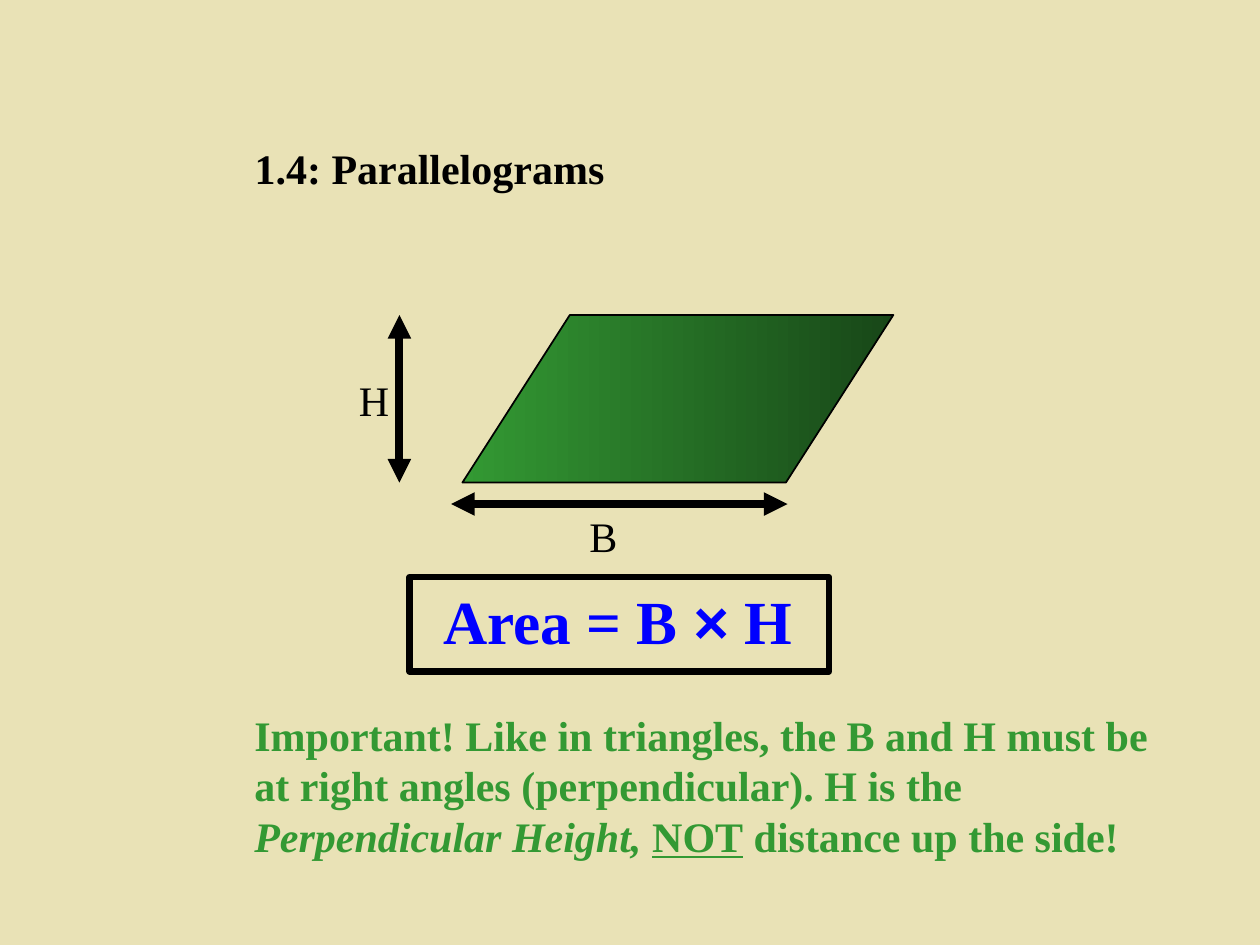
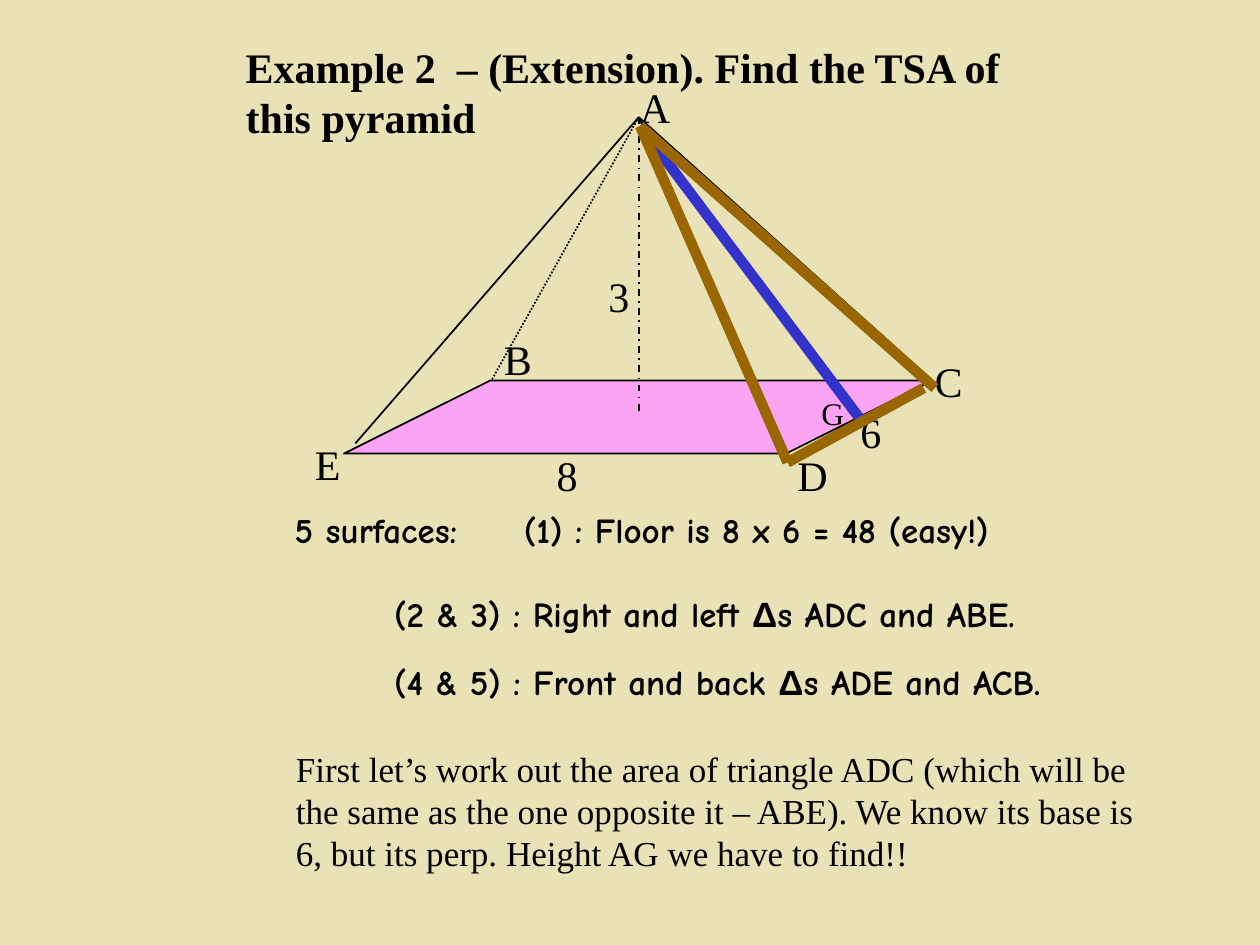
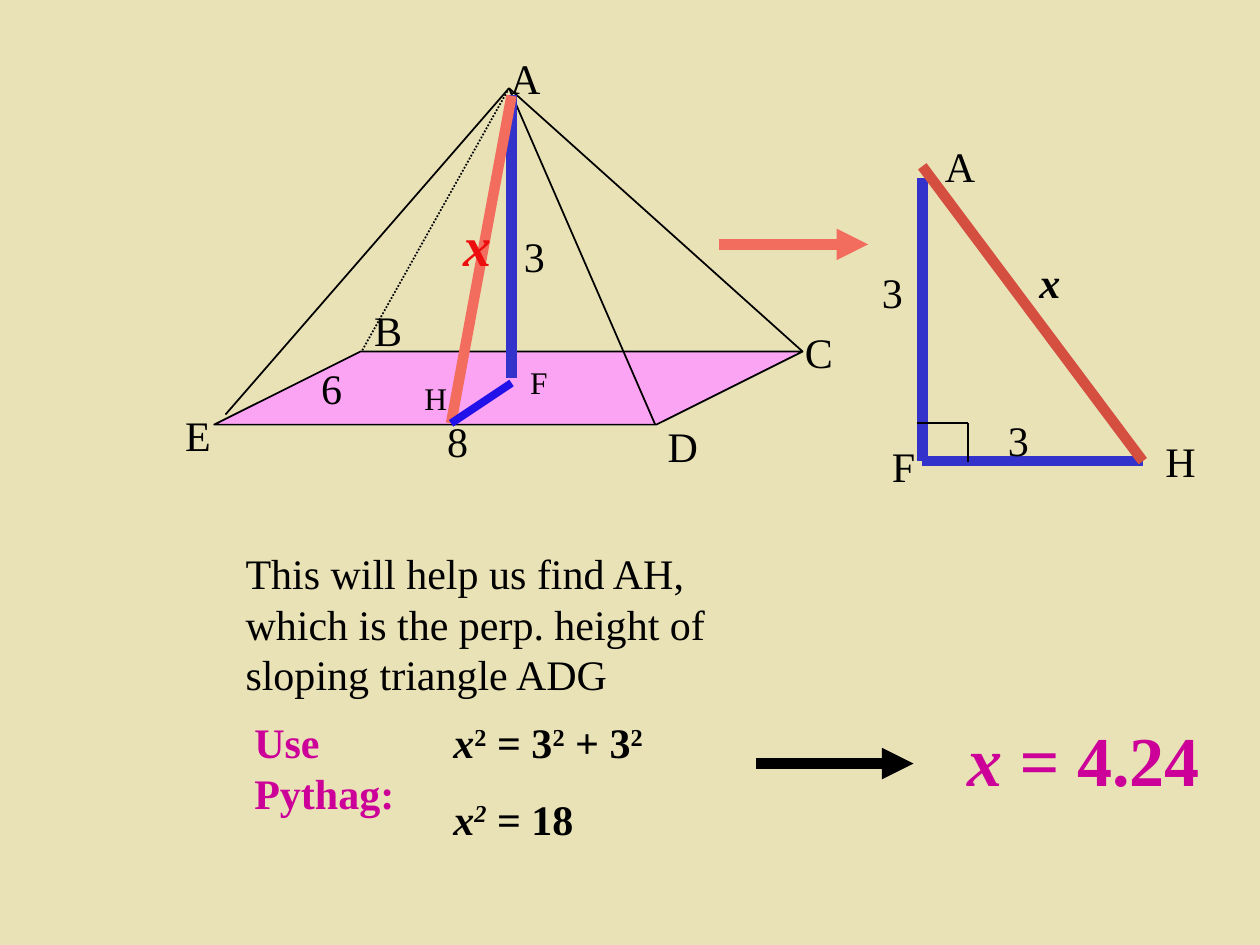
import pptx
import pptx.util
import pptx.dml.color
import pptx.enum.dml
import pptx.enum.shapes
import pptx.enum.text
import pptx.oxml.ns
from lxml import etree

Inches, Pt = pptx.util.Inches, pptx.util.Pt
RGBColor = pptx.dml.color.RGBColor
SHAPE = pptx.enum.shapes.MSO_SHAPE
DASH = pptx.enum.dml.MSO_LINE
qn = pptx.oxml.ns.qn

# Colours and fonts
SAND = RGBColor(0xE9, 0xE2, 0xB6)
BLACK = RGBColor(0x00, 0x00, 0x00)
GREEN = RGBColor(0x33, 0x99, 0x33)
DARK_GREEN = RGBColor(0x18, 0x47, 0x18)
BLUE = RGBColor(0x00, 0x00, 0xFF)
INDIGO = RGBColor(0x33, 0x33, 0xCC)
BRIGHT_INDIGO = RGBColor(0x21, 0x12, 0xEA)
PINK = RGBColor(0xFC, 0xA4, 0xF4)
BROWN = RGBColor(0x99, 0x66, 0x00)
CORAL = RGBColor(0xF3, 0x6D, 0x5F)
BRICK = RGBColor(0xD5, 0x4F, 0x41)
RED = RGBColor(0xED, 0x0F, 0x0F)
MAGENTA = RGBColor(0xCC, 0x00, 0x99)
SERIF, SANS, COMIC = "Times New Roman", "Arial", "Comic Neue"


def add_run(p, text, size=24, color=BLACK, font=SERIF, bold=False,
            italic=False, underline=False, raised=False):
    r = p.add_run()
    r.text = text
    r.font.size = Pt(size)
    r.font.name = font
    r.font.color.rgb = color
    r.font.bold, r.font.italic = bold, italic
    if underline:
        r.font.underline = True
    if raised:
        r._r.get_or_add_rPr().set("baseline", "30000")


class Deck:
    def __init__(self):
        self.prs = pptx.Presentation()
        self.prs.slide_width, self.prs.slide_height = Inches(10), Inches(7.5)
        fill = self.prs.slide_master.background.fill
        fill.solid()
        fill.fore_color.rgb = SAND

    def new_slide(self, layout):
        self.s = self.prs.slides.add_slide(self.prs.slide_layouts.get_by_name(layout))

    def fill_frame(self, tf, paragraphs, **fmt):
        """Each paragraph is a string or a list of (text, changed format)."""
        tf.word_wrap = True
        tf.auto_size = pptx.enum.text.MSO_AUTO_SIZE.NONE
        tf.vertical_anchor = pptx.enum.text.MSO_ANCHOR.TOP
        for i, runs in enumerate(paragraphs):
            p = tf.add_paragraph() if i else tf.paragraphs[0]
            p.alignment = pptx.enum.text.PP_ALIGN.LEFT
            if i:
                p.space_before = Pt(15)
            for text, change in [(runs, {})] if isinstance(runs, str) else runs:
                add_run(p, text, **{**fmt, **change})

    def title(self, text, x, y, w, h):
        sp = self.s.shapes.title
        sp.left, sp.top, sp.width, sp.height = map(Inches, (x, y, w, h))
        self.fill_frame(sp.text_frame, [text], bold=True)

    def text(self, x, y, w, h, *paragraphs, **fmt):
        sp = self.s.shapes.add_textbox(*map(Inches, (x, y, w, h)))
        self.fill_frame(sp.text_frame, paragraphs, **fmt)

    def label(self, text, x, y, w=0.58, **fmt):
        self.text(x, y, w, 0.5, text, **fmt)

    def shape(self, kind, x, y, w, h, fill=None, width=1, slant=None):
        sp = self.s.shapes.add_shape(kind, *map(Inches, (x, y, w, h)))
        sp.shadow.inherit = False
        sp.line.color.rgb, sp.line.width = BLACK, Pt(width)
        if slant:
            sp.adjustments[0] = slant
        if fill is None:
            sp.fill.background()
        elif isinstance(fill, tuple) and not isinstance(fill, RGBColor):
            sp.fill.gradient()
            sp.fill.gradient_angle = 0
            for stop, color, position in zip(sp.fill.gradient_stops, fill, (0, 1)):
                stop.color.rgb, stop.position = color, position
        else:
            sp.fill.solid()
            sp.fill.fore_color.rgb = fill

    def line(self, start, end, color=BLACK, width=1, dash=None, arrows=()):
        c = self.s.shapes.add_connector(pptx.enum.shapes.MSO_CONNECTOR.STRAIGHT,
                                        *map(Inches, (*start, *end)))
        c.line.color.rgb, c.line.width = color, Pt(width)
        if dash:
            c.line.dash_style = dash
        for tag in arrows:
            etree.SubElement(c.line._get_or_add_ln(), qn(tag)).set("type", "triangle")
        etree.SubElement(c._element.spPr, qn("a:effectLst"))

    def pyramid(self, ax, ay):
        """Pyramid with its apex A at (ax, ay)."""
        self.shape(SHAPE.PARALLELOGRAM, ax - 2.34, ay + 2.09, 4.67, 0.58,
                   fill=PINK, slant=2.002)
        edges = [(-1.17, 2.09, DASH.ROUND_DOT), (-2.25, 2.59, None),
                 (1.16, 2.67, None), (2.33, 2.09, None)]
        for dx, dy, dash in edges:
            self.line((ax, ay), (ax + dx, ay + dy), dash=dash)
        corners = [("E", -2.67, 2.5), ("A", -0.09, -0.33), ("D", 1.16, 2.59),
                   ("C", 2.25, 1.84), ("B", -1.17, 1.67)]
        for name, dx, dy in corners:
            self.label(name, ax + dx, ay + dy)


def parallelograms(d):
    d.new_slide("Title Only")
    d.title("1.4: Parallelograms", 1.92, 1.08, 7.17, 0.5)

    # Figure with its dimensions
    both = ("a:headEnd", "a:tailEnd")
    d.shape(SHAPE.PARALLELOGRAM, 3.67, 2.5, 3.42, 1.33,
            fill=(GREEN, DARK_GREEN), slant=0.641)
    d.label("H", 2.75, 2.92, 0.5)
    d.line((3.17, 2.5), (3.17, 3.83), width=4.5, arrows=both)
    d.label("B", 4.58, 4, 0.75)
    d.line((3.58, 4), (6.25, 4), width=4.5, arrows=both)

    # Formula and warning
    d.text(3.42, 4.58, 6, 0.69,
           [("Area = B ", {}), ("×", {"font": SANS}), (" H", {})],
           size=35, color=BLUE, bold=True)
    d.shape(SHAPE.RECTANGLE, 3.25, 4.58, 3.33, 0.75, width=3.5)
    d.text(1.92, 5.58, 7.42, 1.3,
           [("Important! Like in triangles, the B and H must be at right angles "
             "(perpendicular). H is the ", {}),
            ("Perpendicular Height, ", {"italic": True}),
            ("NOT", {"underline": True}),
            (" distance up the side!", {})],
           color=GREEN, bold=True)


def pyramid_surfaces(d):
    d.new_slide("Title Only")
    d.title("Example 2  – (Extension). Find the TSA of this pyramid",
            1.85, 0.28, 6.69, 0.9)

    # Pyramid with its measurements
    d.pyramid(5.07, 0.93)
    d.label("8", 4.32, 3.52)
    d.label("6", 6.73, 3.18)
    d.line((5.07, 0.93), (5.07, 3.27), dash=DASH.DASH_DOT)
    d.label("3", 4.73, 2.1, 0.42)

    # Slant height AG and triangle ADC
    apex, foot_d = (5.08, 1), (6.25, 3.67)
    d.line(apex, (6.83, 3.33), INDIGO, 6)
    d.label("G", 6.42, 3.08, 0.42, size=18)
    for start, end in [(apex, (7.42, 3.08)), (apex, foot_d), ((7.33, 3.08), foot_d)]:
        d.line(start, end, BROWN, 6)

    # List of surfaces
    comic = {"size": 20, "font": COMIC, "bold": True}
    d.text(2.24, 3.99, 2.05, 0.44, "5 surfaces:", **comic)
    d.text(4.06, 3.99, 4.88, 0.44, "(1) : Floor is 8 x 6 = 48 (easy!)", **comic)
    pairs = [(4.65, "(2 & 3) : Right and left ", "s ADC and ABE."),
             (5.19, "(4 & 5) : Front and back ", "s ADE and ACB.")]
    for y, before, after in pairs:
        d.text(3.03, y, 6.53, 0.44,
               [(before, {}), ("Δ", {"font": SANS}), (after, {})], **comic)
    d.text(2.25, 5.88, 7.08, 1.1,
           "First let’s work out the area of triangle ADC (which will be the same "
           "as the one opposite it – ABE). We know its base is 6, but its perp. "
           "Height AG we have to find!!", size=20)


def pythagoras(d):
    d.new_slide("Blank")

    # Pyramid with the inner triangle AFH
    d.pyramid(4.04, 0.7)
    d.label("8", 3.45, 3.25)
    d.label("3", 4.06, 1.78, 0.42)
    d.label("6", 2.45, 2.83, 0.42)
    d.line((4.06, 0.75), (4.06, 3), INDIGO, 6)
    d.label("F", 4.11, 2.83, 0.42, size=18)
    d.line((4.06, 0.76), (3.58, 3.36), CORAL, 6)
    d.text(3.58, 1.62, 0.94, 0.64, "x", size=32, color=RED, bold=True, italic=True)
    d.label("H", 3.27, 2.96, 0.42, size=18)
    d.line((4.06, 3.04), (3.58, 3.36), BRIGHT_INDIGO, 4.5)

    # Triangle AFH drawn flat
    d.line((5.71, 1.94), (6.89, 1.94), CORAL, 6, arrows=("a:tailEnd",))
    corner_f, corner_h = (7.32, 3.66), (9.07, 3.66)
    d.line((7.32, 1.41), corner_f, INDIGO, 6)
    d.line(corner_f, corner_h, INDIGO, 6)
    for name, x, y in [("F", 6.98, 3.45), ("3", 6.9, 2.07), ("3", 7.9, 3.24),
                       ("A", 7.4, 1.07), ("H", 9.15, 3.41)]:
        d.label(name, x, y, 0.42)
    d.line((7.32, 1.32), corner_h, BRICK, 6)
    d.label("x", 8.15, 1.99, 0.83, bold=True, italic=True)
    d.line((7.28, 3.36), (7.68, 3.36))
    d.line((7.68, 3.36), (7.68, 3.67))

    # Working and answer
    d.text(1.85, 4.3, 4.25, 1.3,
           "This will help us find AH, which is the perp. height of sloping triangle ADG")
    d.text(1.92, 5.64, 1.83, 0.9, "Use Pythag:", color=MAGENTA, bold=True)
    x = ("x", {"italic": True})
    squared = ("2", {"raised": True})
    d.text(3.5, 5.64, 2.08, 1.11,
           [x, squared, (" = 3", {}), squared, (" + 3", {}), squared],
           [x, ("2", {"raised": True, "italic": True}), (" = 18", {})],
           bold=True)
    d.line((6, 6.06), (7.25, 6.06), width=6, arrows=("a:tailEnd",))
    d.text(7.58, 5.64, 2.14, 0.77, [("x = ", {"italic": True}), ("4.24", {})],
           size=40, color=MAGENTA, bold=True)


def main():
    d = Deck()
    parallelograms(d)
    pyramid_surfaces(d)
    pythagoras(d)
    d.prs.save("out.pptx")


if __name__ == "__main__":
    main()
